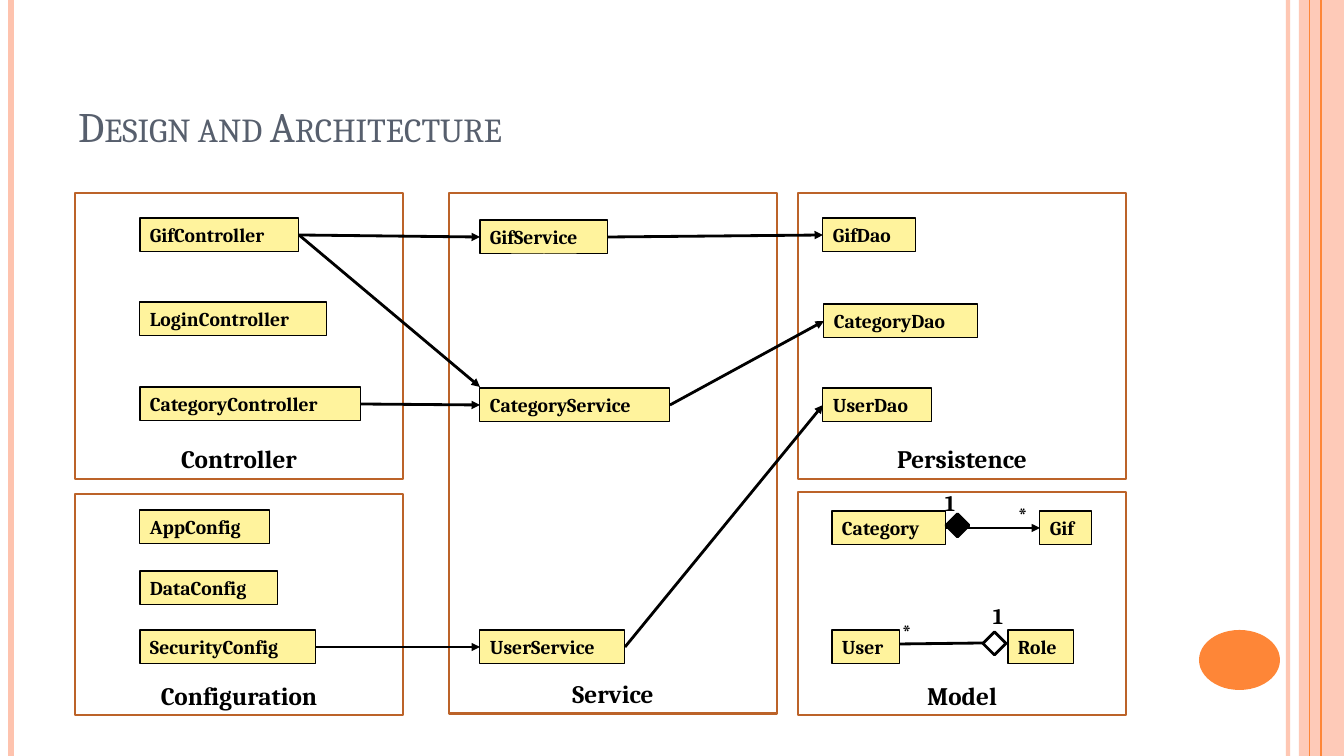
from dataclasses import dataclass

from lxml import etree
from pptx import Presentation
from pptx.dml.color import RGBColor
from pptx.enum.shapes import MSO_CONNECTOR, MSO_SHAPE
from pptx.enum.text import MSO_ANCHOR, PP_ALIGN
from pptx.oxml.ns import qn
from pptx.util import Emu, Pt

RECTANGLE = MSO_SHAPE.RECTANGLE
OVAL = MSO_SHAPE.OVAL
DIAMOND = MSO_SHAPE.FLOWCHART_DECISION
STRAIGHT = MSO_CONNECTOR.STRAIGHT
TOP, BOTTOM = MSO_ANCHOR.TOP, MSO_ANCHOR.BOTTOM
LEFT, CENTER = PP_ALIGN.LEFT, PP_ALIGN.CENTER
LEFT_SITE, RIGHT_SITE = 1, 3
SCALE = 914400 / 100.8
SLIDE_WIDTH, SLIDE_HEIGHT = 1344, 756
BOX_HEIGHT = 34
FRAME_WIDTH = 328


@dataclass(frozen=True)
class Theme:
    """Colours, font and type sizes of the slide."""
    font: str = "Cambria"
    ink: str = "000000"
    title: str = "575F6D"
    box: str = "FFF39D"
    frame: str = "BC6329"
    accent: str = "FE8637"
    pale: str = "FEC3AE"
    title_size: int = 30
    frame_size: int = 18
    mark_size: int = 16
    box_size: int = 14


THEME = Theme()

FRAMES = [
    ("Controller", 75, 193, 286),
    ("Service", 449, 193, 521),
    ("Persistence", 798, 193, 286),
    ("Configuration", 75, 494, 221),
    ("Model", 798, 492, 223),
]
BOXES = [
    ("GifController", 140, 218, 159),
    ("LoginController", 140, 302, 187),
    ("CategoryController", 140, 387, 221),
    ("AppConfig", 140, 510, 130),
    ("DataConfig", 140, 571, 138),
    ("SecurityConfig", 140, 630, 176),
    ("GifService", 480, 220, 128),
    ("CategoryService", 480, 388, 190),
    ("UserService", 480, 630, 145),
    ("GifDao", 823, 218, 93),
    ("CategoryDao", 824, 304, 154),
    ("UserDao", 823, 388, 109),
    ("Category", 832, 511, 114),
    ("Gif", 1040, 511, 52),
    ("User", 832, 630, 68),
    ("Role", 1008, 630, 66),
]
LINKS = [
    ("GifController", "GifService"),
    ("CategoryController", "CategoryService"),
    ("SecurityConfig", "UserService"),
    ("GifService", "GifDao"),
    ("CategoryService", "CategoryDao"),
    ("UserService", "UserDao"),
    ("Category", "Gif"),
]
MARKS = [("1", 935, 484), ("*", 1008, 496), ("*", 892, 613), ("1", 983, 597)]
RULES = [
    (11, THEME.pale, 4.5, 100),
    (1288, THEME.pale, 3, 93),
    (1310, THEME.accent, 0.75, 100),
    (1321, THEME.accent, 1.5, 100),
]


def px(*lengths):
    """Turn pixels into EMU."""
    return [Emu(round(length * SCALE)) for length in lengths]


def set_opacity(shape, percent):
    """Make the first colour of a shape partly transparent."""
    colour = next(shape._element.iter(qn("a:srgbClr")))
    etree.SubElement(colour, qn("a:alpha")).set("val", str(percent * 1000))


def paint(shape, fill=None, line=None, width=0.75):
    """Set fill and outline, with none where no colour is given."""
    if fill:
        shape.fill.solid()
        shape.fill.fore_color.rgb = RGBColor.from_string(fill)
    else:
        shape.fill.background()
    if line:
        shape.line.color.rgb = RGBColor.from_string(line)
        shape.line.width = Pt(width)
    else:
        shape.line.fill.background()


def write(shape, text, size, colour=THEME.ink, bold=True, align=LEFT, anchor=TOP):
    """Put one formatted run into a shape."""
    frame = shape.text_frame
    frame.word_wrap = True
    frame.vertical_anchor = anchor
    paragraph = frame.paragraphs[0]
    paragraph.alignment = align
    run = paragraph.add_run()
    run.text = text
    run.font.name = THEME.font
    run.font.size = Pt(size)
    run.font.bold = bold
    run.font.color.rgb = RGBColor.from_string(colour)
    return run


def add_shape(slide, kind, bounds, fill=None, line=None, width=2):
    """Add a preset shape without shadow."""
    shape = slide.shapes.add_shape(kind, *px(*bounds))
    shape.shadow.inherit = False
    paint(shape, fill, line, width)
    return shape


def add_line(slide, start, end, colour=THEME.ink, width=2, arrow=False):
    """Add a straight connector, with an arrowhead if asked."""
    connector = slide.shapes.add_connector(STRAIGHT, *px(*start, *end))
    connector.line.color.rgb = RGBColor.from_string(colour)
    connector.line.width = Pt(width)
    if arrow:
        outline = connector.line._get_or_add_ln()
        etree.SubElement(outline, qn("a:tailEnd")).set("type", "triangle")
    etree.SubElement(connector._element.spPr, qn("a:effectLst"))
    return connector


def add_link(slide, source, target):
    """Join the right side of one box to the left side of another."""
    connector = add_line(slide, (0, 0), (0, 0), arrow=True)
    connector.begin_connect(source, RIGHT_SITE)
    connector.end_connect(target, LEFT_SITE)


def add_frame(slide, name, left, top, height):
    """Add a layer outline with its name at the bottom."""
    bounds = (left, top, FRAME_WIDTH, height)
    shape = add_shape(slide, RECTANGLE, bounds, line=THEME.frame)
    write(shape, name, THEME.frame_size, align=CENTER, anchor=BOTTOM)


def add_box(slide, name, left, top, width):
    """Add a class box."""
    box = slide.shapes.add_textbox(*px(left, top, width, BOX_HEIGHT))
    paint(box, THEME.box, THEME.ink)
    write(box, name, THEME.box_size)
    return box


def add_mark(slide, text, left, top):
    """Add a multiplicity mark."""
    write(slide.shapes.add_textbox(*px(left, top, 33, 37)), text, THEME.mark_size)


def add_title(slide, text):
    """Place and format the title placeholder."""
    title = slide.shapes.title
    title.left, title.top, title.width, title.height = px(68, 30, 1098, 126)
    run = write(title, text, THEME.title_size, THEME.title, False, anchor=BOTTOM)
    run.font._element.set("cap", "small")


def add_decoration(slide):
    """Add the side rules, the band and the ellipse."""
    band = add_shape(slide, RECTANGLE, (1299, 0, 45, SLIDE_HEIGHT), THEME.pale)
    set_opacity(band, 87)
    for x, colour, width, opacity in RULES:
        rule = add_line(slide, (x, 0), (x, SLIDE_HEIGHT), colour, width)
        if opacity < 100:
            set_opacity(rule, opacity)
    add_shape(slide, OVAL, (1199, 630, 81, 60), THEME.accent)


def main():
    """Build the slide and save it."""
    presentation = Presentation()
    presentation.slide_width, presentation.slide_height = px(SLIDE_WIDTH, SLIDE_HEIGHT)
    slide = presentation.slides.add_slide(presentation.slide_layouts[5])
    add_decoration(slide)
    add_title(slide, "Design and Architecture")
    for frame in FRAMES:
        add_frame(slide, *frame)
    boxes = {box[0]: add_box(slide, *box) for box in BOXES}
    for source, target in LINKS:
        add_link(slide, boxes[source], boxes[target])
    add_line(slide, (299, 235), (480, 387), arrow=True)
    add_line(slide, (900, 644), (983, 643))
    add_shape(slide, DIAMOND, (946, 514, 23, 23), THEME.ink, THEME.ink)
    add_shape(slide, DIAMOND, (983, 632, 23, 23), line=THEME.ink)
    for mark in MARKS:
        add_mark(slide, *mark)
    presentation.save("out.pptx")


main()
